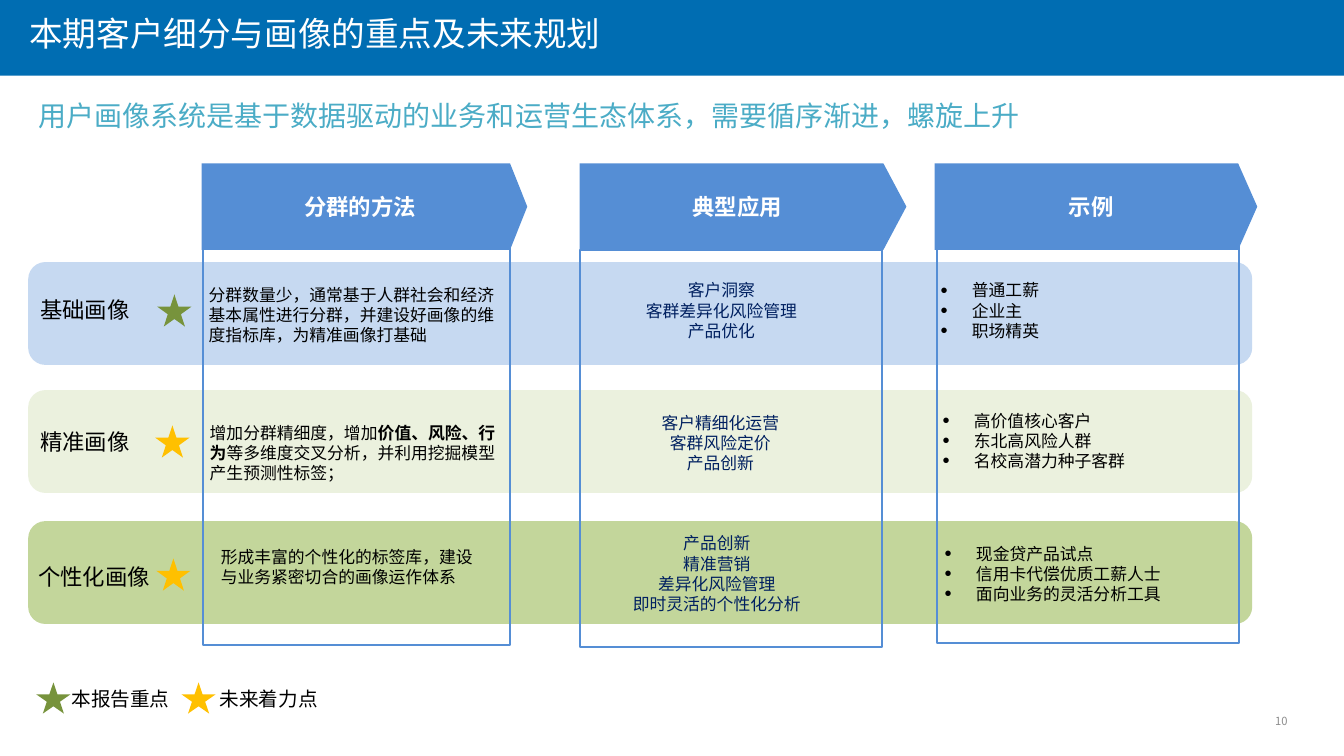
from lxml import etree
from pptx import Presentation
from pptx.dml.color import RGBColor
from pptx.enum.shapes import MSO_SHAPE
from pptx.enum.text import MSO_ANCHOR, PP_ALIGN
from pptx.oxml.ns import qn
from pptx.util import Inches, Pt

RECTANGLE = MSO_SHAPE.RECTANGLE
ROUNDED = MSO_SHAPE.ROUNDED_RECTANGLE
PENTAGON = MSO_SHAPE.PENTAGON
STAR = MSO_SHAPE.STAR_5_POINT
TOP, MIDDLE = MSO_ANCHOR.TOP, MSO_ANCHOR.MIDDLE
LEFT, CENTER, RIGHT = PP_ALIGN.LEFT, PP_ALIGN.CENTER, PP_ALIGN.RIGHT

FONT = "Noto Sans CJK SC"
WHITE = RGBColor(0xFF, 0xFF, 0xFF)
BLACK = RGBColor(0x00, 0x00, 0x00)
NAVY = RGBColor(0x00, 0x20, 0x60)
GRAY = RGBColor(0x8C, 0x8C, 0x8C)
TITLE_BLUE = RGBColor(0x00, 0x6D, 0xB2)
TEAL = RGBColor(0x4B, 0xAC, 0xC6)
HEADER_BLUE = RGBColor(0x55, 0x8E, 0xD5)
PALE_BLUE = RGBColor(0xC6, 0xD9, 0xF1)
PALE_GREEN = RGBColor(0xEB, 0xF1, 0xDE)
SOFT_GREEN = RGBColor(0xC3, 0xD6, 0x9B)
FOCUS_GREEN = RGBColor(0x77, 0x93, 0x3C)
FUTURE_GOLD = RGBColor(0xFF, 0xC0, 0x00)

BAND_LEFT, BAND_WIDTH, BAND_HEIGHT = 0.28, 12.14, 1.02

COLUMNS = [
    ("分群的方法", (2, 1.62, 3.23, 0.86), 0.199, (2.01, 2.46, 3.05, 3.94)),
    ("典型应用", (5.75, 1.62, 3.24, 0.86), 0.266, (5.75, 2.48, 3, 3.94)),
    ("示例", (9.27, 1.62, 3.2, 0.86), 0.221, (9.29, 2.44, 3, 3.94)),
]

# Each part: offset from the band's corner, width, then its content.
BANDS = [
    (2.6, PALE_BLUE, (1.28, 0.32, FOCUS_GREEN),
     (0.12, 0.34, 1.19, ["基础画像"]),
     (1.79, 0.22, 2.91, ["分群数量少，通常基于人群社会和经济基本属性进行分群，并建设好画像的维度指标库，为精准画像打基础"]),
     (5.55, 0.18, 2.65, ["客户洞察", "客群差异化风险管理", "产品优化"]),
     (9.05, 0.18, 3.45, ["普通工薪", "企业主", "职场精英"])),
    (3.87, PALE_GREEN, (1.26, 0.35, FUTURE_GOLD),
     (0.12, 0.38, 1.19, ["精准画像"]),
     (1.8, 0.32, 2.91, [[("增加分群精细度，增加", False), ("价值、风险、行为", True),
                         ("等多维度交叉分析，并利用挖掘模型产生预测性标签；", False)]]),
     (5.63, 0.22, 2.47, ["客户精细化运营", "客群风险定价", "产品创新"]),
     (9.07, 0.2, 2.57, ["高价值核心客户", "东北高风险人群", "名校高潜力种子客群"])),
    (5.17, SOFT_GREEN, (1.27, 0.37, FUTURE_GOLD),
     (0.1, 0.42, 1.19, ["个性化画像"]),
     (1.91, 0.25, 2.51, ["形成丰富的个性化的标签库，建设与业务紧密切合的画像运作体系"]),
     (5.58, 0.12, 2.5, ["产品创新", "精准营销", "差异化风险管理", "即时灵活的个性化分析"]),
     (9.09, 0.22, 2.79, ["现金贷产品试点", "信用卡代偿优质工薪人士", "面向业务的灵活分析工具"])),
]


def add_bullet(para):
    """Give the paragraph a hanging round bullet."""
    properties = para._p.get_or_add_pPr()
    properties.set("marL", str(Inches(0.31)))
    properties.set("indent", str(-Inches(0.31)))
    etree.SubElement(properties, qn("a:buSzPct")).set("val", "120000")
    etree.SubElement(properties, qn("a:buFont")).set("typeface", "Arial")
    etree.SubElement(properties, qn("a:buChar")).set("char", "•")


def write_lines(frame, lines, size, color, align=LEFT, bold=False, bullets=False):
    """Write one paragraph per line; a line is a string or (text, bold) pairs."""
    for index, line in enumerate(lines):
        para = frame.paragraphs[0] if index == 0 else frame.add_paragraph()
        para.alignment = align
        para.line_spacing = Pt(round(size * 1.2, 1))
        if bullets:
            add_bullet(para)
        for text, strong in [(line, bold)] if isinstance(line, str) else line:
            span = para.add_run()
            span.text = text
            span.font.name = FONT
            span.font.size = Pt(size)
            span.font.bold = strong
            span.font.color.rgb = color
            east_asian = etree.SubElement(span.font._element, qn("a:ea"))
            east_asian.set("typeface", FONT)


def add_text(page, box, lines, size, color, align=LEFT, anchor=TOP, inset=(0, 0), bullets=False):
    """Place a wrapping text box."""
    frame = page.shapes.add_textbox(*map(Inches, box)).text_frame
    frame.word_wrap = True
    frame.vertical_anchor = anchor
    frame.margin_left = frame.margin_right = Inches(inset[0])
    frame.margin_top = frame.margin_bottom = Inches(inset[1])
    write_lines(frame, lines, size, color, align, bullets=bullets)


def add_block(page, kind, box, fill=None, line=None):
    """Place a flat preset shape with an optional fill and outline."""
    shape = page.shapes.add_shape(kind, *map(Inches, box))
    shape.shadow.inherit = False
    if fill is None:
        shape.fill.background()
    else:
        shape.fill.solid()
        shape.fill.fore_color.rgb = fill
    if line is None:
        shape.line.fill.background()
    else:
        shape.line.color.rgb = line
        shape.line.width = Pt(1.5)
    return shape


def add_heading(page, box):
    """Place the title bar and the statement below it."""
    left, top, width, height = box
    add_block(page, RECTANGLE, box, TITLE_BLUE)
    add_text(page, (left + 0.29, top + 0.13, 12.23, 0.51),
             ["本期客户细分与画像的重点及未来规划"], 24, WHITE)
    add_text(page, (left + 0.28, top + height + 0.18, 12.71, 0.65),
             ["用户画像系统是基于数据驱动的业务和运营生态体系，需要循序渐进，螺旋上升"],
             20, TEAL, inset=(0.1, 0.05))


def add_band(page, box, fill, star, label, method, uses, examples):
    """Place one portrait level with its star, label and three cells."""
    left, top = box[:2]
    add_block(page, ROUNDED, box, fill)
    star_x, star_y, star_color = star
    add_block(page, STAR, (left + star_x, top + star_y, 0.34, 0.32), star_color)
    styles = [(16, BLACK, LEFT, False), (12, BLACK, LEFT, False),
              (12, NAVY, CENTER, False), (12, BLACK, LEFT, True)]
    for part, style in zip((label, method, uses, examples), styles):
        x, y, width, lines = part
        size, color, align, bullets = style
        height = 0.4 if size == 12 and len(lines[0]) < 32 else 0.27
        height = max(height, 0.2 * len(lines))
        add_text(page, (left + x, top + y, width, height), lines, size, color,
                 align, bullets=bullets)


def add_column(page, box, title, tip, frame_box):
    """Place an arrow-shaped column header and the frame under it."""
    header = add_block(page, PENTAGON, box, HEADER_BLUE)
    header.adjustments[0] = tip
    frame = header.text_frame
    frame.vertical_anchor = MIDDLE
    frame.margin_left = frame.margin_right = Inches(0.05)
    frame.margin_top = frame.margin_bottom = 0
    write_lines(frame, [title], 16, WHITE, CENTER, bold=True)
    add_block(page, RECTANGLE, frame_box, line=HEADER_BLUE)


def add_legend(page, box):
    """Place the star legend."""
    left, top, width, height = box
    entries = [(0, 0.25, "本报告重点", FOCUS_GREEN), (1.44, 1.72, "未来着力点", FUTURE_GOLD)]
    for star_x, text_x, text, color in entries:
        add_block(page, STAR, (left + star_x, top, 0.34, 0.31), color)
        add_text(page, (left + text_x, top, 1.28, height), [text], 14, BLACK, inset=(0.1, 0.05))


def main():
    """Build and save the slide."""
    deck = Presentation()
    deck.slide_width, deck.slide_height = Inches(13.33), Inches(7.5)
    page = deck.slides.add_slide(deck.slide_layouts[6])
    add_heading(page, (0, 0, 13.33, 0.75))
    for top, *parts in BANDS:
        add_band(page, (BAND_LEFT, top, BAND_WIDTH, BAND_HEIGHT), *parts)
    for title, box, tip, frame_box in COLUMNS:
        add_column(page, box, title, tip, frame_box)
    add_legend(page, (0.36, 6.77, 3, 0.34))
    add_text(page, (11.62, 7.01, 1.15, 0.28), ["10"], 8, GRAY, RIGHT, MIDDLE)
    deck.save("out.pptx")


if __name__ == "__main__":
    main()
